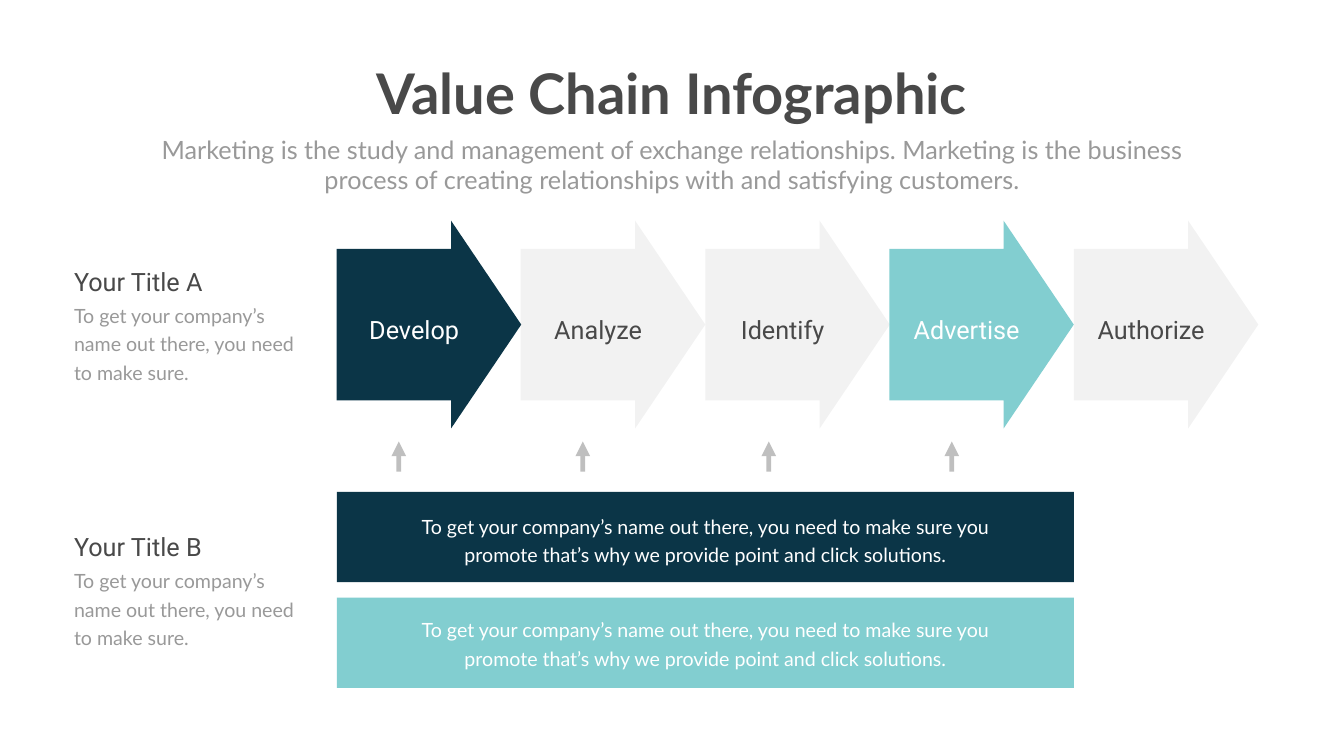
"""Build the value chain infographic slide."""
from dataclasses import dataclass
from typing import Optional

from lxml import etree
from pptx import Presentation
from pptx import util as u
from pptx.dml.color import RGBColor
from pptx.enum import shapes, text
from pptx.oxml import ns

PX = u.Inches(1) // 100
COLORS = {"navy": "0B3547", "teal": "82CED0", "gray": "808080",
          "dark": "494949", "muted": "999999", "white": "FFFFFF"}
LEFT, PITCH = 668, 365.5
BAR_TEXT = ("To get your company’s name out there, you need to make sure you "
            "promote that’s why we provide point and click solutions.")
SIDE_TEXT = "To get your company’s name out there, you need to make sure."


@dataclass(frozen=True)
class Box:
    left: int
    top: int
    width: int
    height: int

    def emu(self) -> tuple:
        return tuple(u.Emu(value * PX) for value in
                     (self.left, self.top, self.width, self.height))


@dataclass(frozen=True)
class Style:
    font: str
    size: int
    color: str
    centered: bool = True
    bold: bool = False
    spacing: Optional[float] = None


@dataclass(frozen=True)
class Stage:
    label: str
    fill: str
    pointer_x: Optional[int] = None


@dataclass(frozen=True)
class Bar:
    fill: str
    top: int
    text_top: int


@dataclass(frozen=True)
class SideNote:
    title: str
    top: int


STAGES = [
    Stage("Develop", "navy", 791),
    Stage("Analyze", "gray", 1156),
    Stage("Identify", "gray", 1525),
    Stage("Advertise", "teal", 1888),
    Stage("Authorize", "gray"),
]
BARS = [Bar("navy", 976, 1006), Bar("teal", 1186, 1212)]
SIDE_NOTES = [SideNote("Your Title A", 523), SideNote("Your Title B", 1049)]


def rgb(name: str) -> RGBColor:
    return RGBColor.from_string(COLORS[name])


def set_alpha(properties, percent: int) -> None:
    color = properties.find(".//" + ns.qn("a:srgbClr"))
    etree.SubElement(color, ns.qn("a:alpha"), val=str(percent * 1000))


def write(shape, content: str, style: Style, wrap: bool = True) -> None:
    frame = shape.text_frame
    frame.text = content
    frame.word_wrap = wrap
    frame.auto_size = text.MSO_AUTO_SIZE.NONE
    frame.vertical_anchor = text.MSO_ANCHOR.TOP
    paragraph = frame.paragraphs[0]
    paragraph.alignment = text.PP_ALIGN.CENTER if style.centered else text.PP_ALIGN.LEFT
    paragraph.space_before = u.Pt(0)
    if style.spacing:
        paragraph.line_spacing = u.Pt(style.spacing)
    font = paragraph.font
    font.name, font.size, font.bold = style.font, u.Pt(style.size), style.bold
    font.color.rgb = rgb(style.color)


def add_text(slide, box: Box, content: str, style: Style) -> None:
    write(slide.shapes.add_textbox(*box.emu()), content, style)


def fill_placeholder(shape, box: Box, content: str, style: Style, wrap: bool = True) -> None:
    shape.left, shape.top, shape.width, shape.height = box.emu()
    write(shape, content, style, wrap)


def add_block(slide, kind, box: Box, fill: str):
    shape = slide.shapes.add_shape(kind, *box.emu())
    shape.shadow.inherit = False
    shape.fill.solid()
    shape.fill.fore_color.rgb = rgb(fill)
    shape.line.fill.background()
    return shape


def add_stage(slide, stage: Stage, index: int) -> None:
    left = LEFT + int(index * PITCH)
    arrow = add_block(slide, shapes.MSO_SHAPE.RIGHT_ARROW, Box(left, 438, 366, 412), stage.fill)
    arrow.adjustments[0], arrow.adjustments[1] = 0.73, 0.38
    is_gray = stage.fill == "gray"
    if is_gray:
        set_alpha(arrow._element.spPr, 10)
    add_text(slide, Box(left + 18, 619, 271, 71), stage.label,
             Style("Roboto", 36, "dark" if is_gray else "white"))
    if stage.pointer_x is not None:
        add_pointer(slide, stage.pointer_x)


def add_pointer(slide, x: int) -> None:
    pointer = slide.shapes.add_connector(shapes.MSO_CONNECTOR.STRAIGHT,
                                         x * PX, 936 * PX, x * PX, 876 * PX)
    pointer.line.width = u.Pt(7)
    pointer.line.color.rgb = rgb("gray")
    properties = pointer._element.spPr
    set_alpha(properties, 50)
    etree.SubElement(properties.find(ns.qn("a:ln")), ns.qn("a:tailEnd"), type="triangle")
    etree.SubElement(properties, ns.qn("a:effectLst"))


def add_bar(slide, bar: Bar) -> None:
    add_block(slide, shapes.MSO_SHAPE.RECTANGLE, Box(LEFT, bar.top, 1462, 179), bar.fill)
    add_text(slide, Box(821, bar.text_top, 1156, 119), BAR_TEXT,
             Style("Lato", 28, "white", spacing=40.8))


def add_side_note(slide, note: SideNote) -> None:
    add_text(slide, Box(137, note.top, 477, 71), note.title,
             Style("Roboto", 36, "dark", centered=False))
    add_text(slide, Box(137, note.top + 65, 477, 177), SIDE_TEXT,
             Style("Lato", 28, "muted", centered=False, spacing=40.8))


def main() -> None:
    presentation = Presentation()
    presentation.slide_width, presentation.slide_height = 2666 * PX, 1500 * PX
    slide = presentation.slides.add_slide(presentation.slide_layouts[0])
    fill_placeholder(slide.shapes.title, Box(721, 112, 1224, 145), "Value Chain Infographic",
                     Style("Lato", 80, "dark", bold=True), wrap=False)
    fill_placeholder(slide.placeholders[1], Box(292, 261, 2082, 131),
                     "Marketing is the study and management of exchange relationships. "
                     "Marketing is the business process of creating relationships with "
                     "and satisfying customers.", Style("Lato", 36, "muted"))
    for bar in BARS:
        add_bar(slide, bar)
    for index, stage in enumerate(STAGES):
        add_stage(slide, stage, index)
    for note in SIDE_NOTES:
        add_side_note(slide, note)
    presentation.save("out.pptx")


if __name__ == "__main__":
    main()
